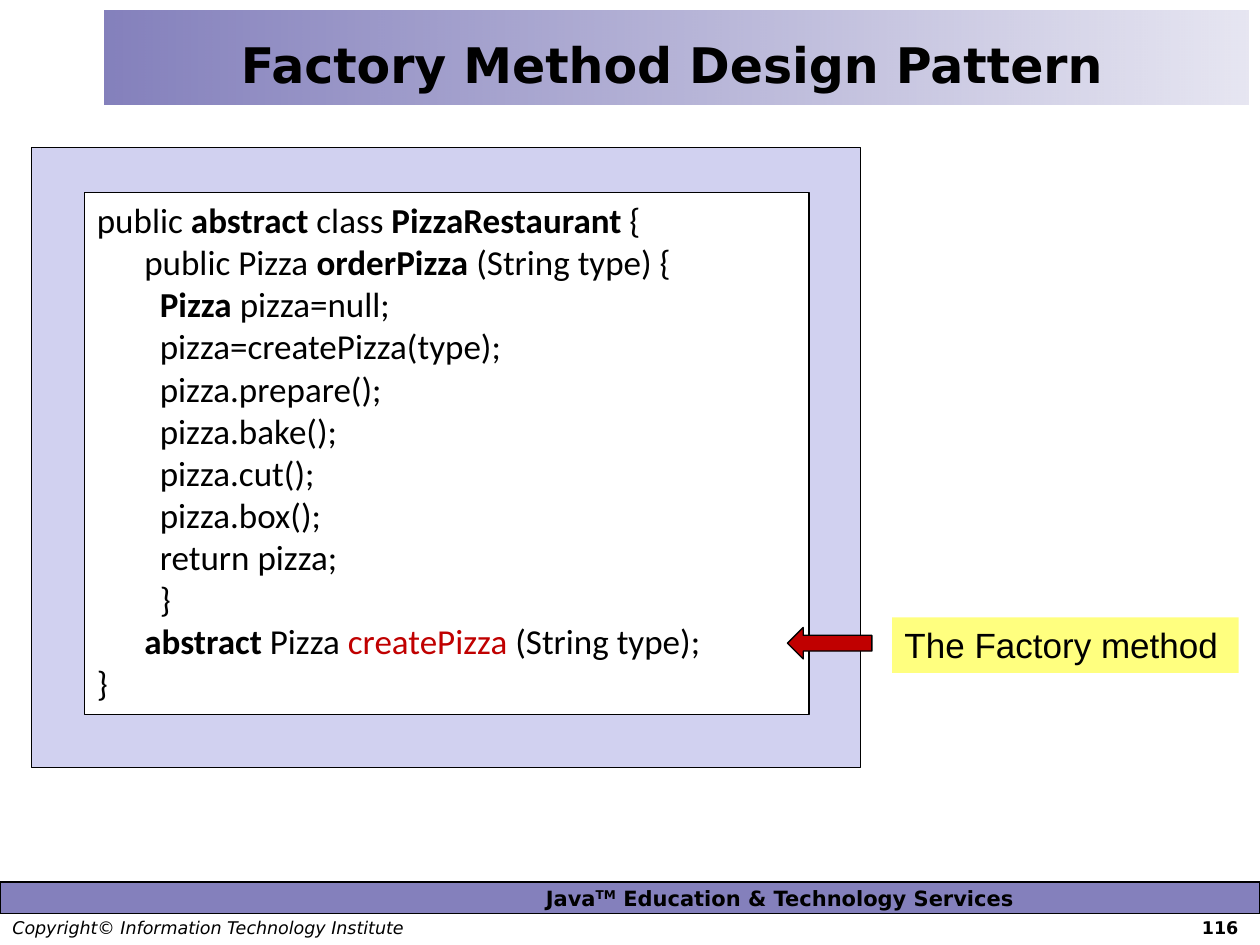
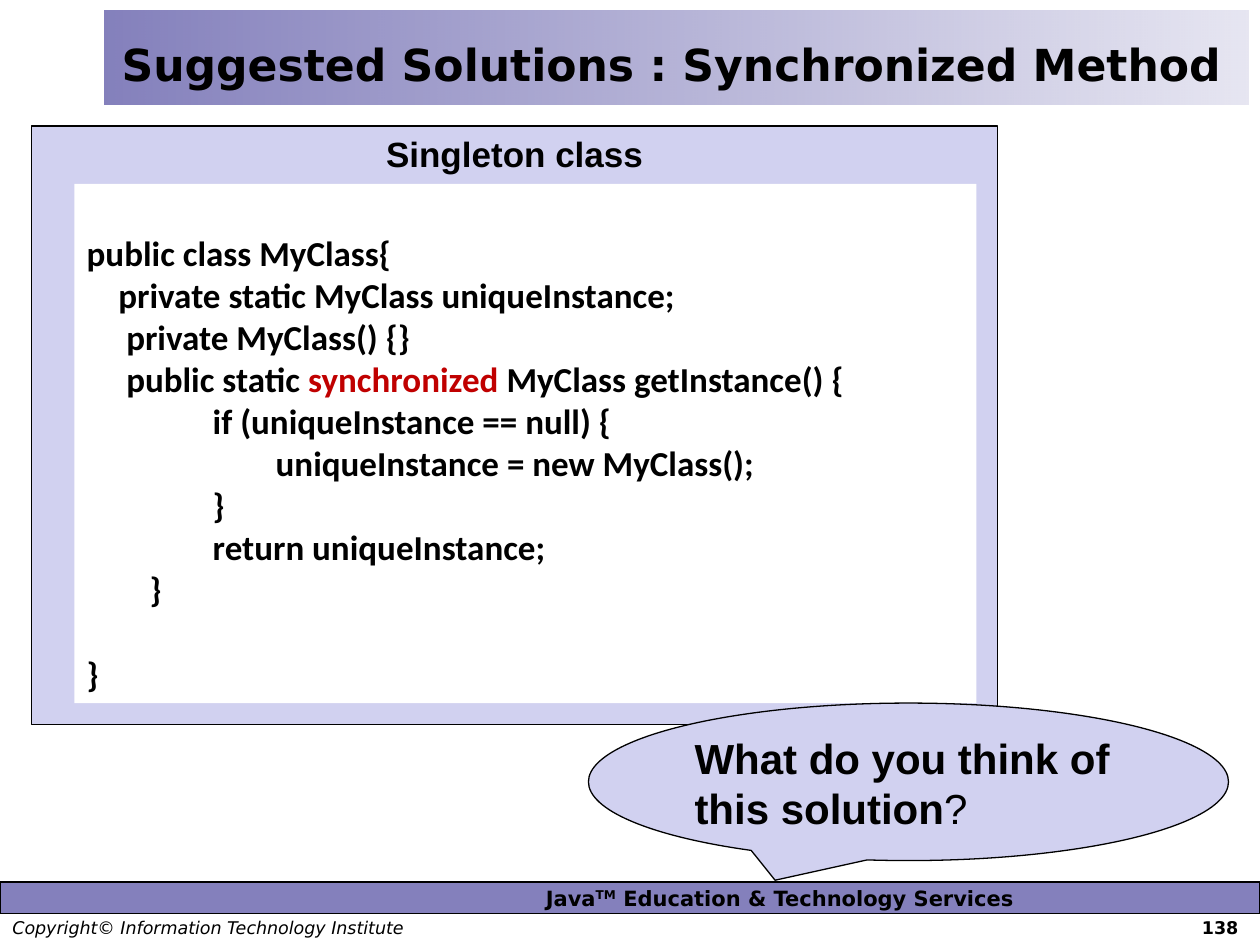
from typing import NamedTuple, Optional

from lxml.etree import SubElement
from pptx import Presentation
from pptx.dml.color import RGBColor as Rgb
from pptx.enum.shapes import MSO_SHAPE as Kind
from pptx.enum.text import MSO_ANCHOR as Anchor, MSO_AUTO_SIZE as Fit, PP_ALIGN as Align
from pptx.oxml.ns import qn
from pptx.util import Inches, Pt

HUES = {
    "ink": "000000",
    "paper": "FFFFFF",
    "brand": "5B56A6",
    "panel": "D1D1F0",
    "red": "C00000",
    "note": "FFFF00",
}
HEAD, BODY, CODE = "DejaVu Sans", "Arial", "Calibri"


class Box(NamedTuple):
    left: float
    top: float
    width: float
    height: float
    fill: str
    kind: Kind = Kind.RECTANGLE
    line: bool = True
    alpha: Optional[int] = None


class Style(NamedTuple):
    face: str
    size: float
    bold: bool = False
    align: Align = Align.LEFT


def hue(name: str) -> Rgb:
    return Rgb.from_string(HUES[name])


def fade(color, percent: int) -> None:
    """Set the opacity of a colour element."""
    SubElement(color, qn("a:alpha")).set("val", str(percent * 1000))


def draw(slide, box: Box):
    shape = slide.shapes.add_shape(box.kind, *map(Inches, box[:4]))
    shape.shadow.inherit = False
    shape.fill.solid()
    shape.fill.fore_color.rgb = hue(box.fill)
    if box.alpha:
        fade(shape.element.spPr.find(".//" + qn("a:srgbClr")), box.alpha)
    if box.line:
        shape.line.color.rgb = hue("ink")
        shape.line.width = Pt(0.75)
    else:
        shape.line.fill.background()
    return shape


def dress(para, style: Style) -> None:
    para.alignment = style.align
    font = para.font
    font.name, font.size, font.bold = style.face, Pt(style.size), style.bold
    font.color.rgb = hue("ink")


def write(shape, lines: list[str], style: Style, anchor: Anchor = Anchor.TOP):
    """Fill a shape with lines; *...* flips bold and ~...~ turns red."""
    frame = shape.text_frame
    frame.word_wrap, frame.vertical_anchor = True, anchor
    for row, line in enumerate(lines):
        para = frame.add_paragraph() if row else frame.paragraphs[0]
        dress(para, style)
        for i, part in enumerate(line.split("*")):
            for j, text in enumerate(part.split("~")):
                if not text:
                    continue
                run = para.add_run()
                run.text = text
                if i % 2:
                    run.font.bold = not style.bold
                if j % 2:
                    run.font.color.rgb = hue("red")
    return frame


def add_band(slide) -> None:
    """Draw the fading band behind the title."""
    band = draw(slide, Box(0.83, 0.08, 9.08, 0.75, "brand", line=False))
    band.fill.gradient()
    band.fill.gradient_angle = 0
    for stop, place, alpha in zip(band.fill.gradient_stops, (0, 1), (75, 15)):
        stop.position = place
        stop.color.rgb = hue("brand")
        fade(band.element.spPr.findall(".//" + qn("a:srgbClr"))[place], alpha)


def add_foot(slide, number: int) -> None:
    bar = draw(slide, Box(0, 7, 10, 0.25, "brand", alpha=75))
    frame = write(bar, ["Java"], Style(HEAD, 12, True, Align.CENTER), Anchor.MIDDLE)
    frame.margin_left, frame.margin_right = Inches(2.38), 0
    frame.margin_top = frame.margin_bottom = 0
    para = frame.paragraphs[0]
    mark = para.add_run()
    mark.text = "TM"
    mark.font._element.set("baseline", "30000")
    para.add_run().text = " Education & Technology Services"

    note = slide.shapes.add_textbox(0, Inches(7.23), Inches(10), Inches(0.27))
    note.text_frame.word_wrap = True
    para = note.text_frame.paragraphs[0]
    tabs = SubElement(para._p.get_or_add_pPr(), qn("a:tabLst"))
    tab = SubElement(tabs, qn("a:tab"))
    tab.set("pos", str(Inches(9.73)))
    tab.set("algn", "r")
    dress(para, Style(HEAD, 10))
    legal, page = para.add_run(), para.add_run()
    legal.text = "Copyright© Information Technology Institute\t"
    legal.font.italic = True
    page.text = str(number)
    page.font.bold = True


def add_slide(deck, title: str, size: float, number: int):
    slide = deck.slides.add_slide(deck.slide_layouts.get_by_name("Title Only"))
    add_foot(slide, number)
    add_band(slide)
    head = slide.shapes.title
    slide.shapes.element.append(head.element)
    head.left, head.top, head.width, head.height = map(Inches, (0.83, 0.17, 9, 0.67))
    frame = write(head, [title], Style(HEAD, size, True, Align.CENTER), Anchor.MIDDLE)
    frame.auto_size = Fit.NONE
    return slide


def add_factory(deck) -> None:
    slide = add_slide(deck, "Factory Method Design Pattern", 28, 116)
    draw(slide, Box(0.25, 1.17, 6.58, 4.92, "panel"))
    code = draw(slide, Box(0.67, 1.53, 5.75, 4.14, "paper"))
    write(code, [
        "public *abstract* class *PizzaRestaurant* {",
        "      public Pizza *orderPizza* (String type) {",
        "\t*Pizza *pizza=null;",
        "\tpizza=createPizza(type);",
        "\tpizza.prepare();",
        "\tpizza.bake();",
        "\tpizza.cut();",
        "\tpizza.box();",
        "\treturn pizza;",
        "\t}",
        "      *abstract *Pizza ~createPizza~ (String type);",
        "}",
    ], Style(CODE, 20))
    label = draw(slide, Box(7.08, 4.9, 2.75, 0.44, "note", line=False, alpha=50))
    write(label, ["The Factory method"], Style(BODY, 20))
    draw(slide, Box(6.25, 4.98, 0.67, 0.25, "red", Kind.LEFT_ARROW))


def add_sync(deck) -> None:
    slide = add_slide(deck, "Suggested Solutions : Synchronized Method", 25.2, 138)
    panel = draw(slide, Box(0.25, 1, 7.67, 4.75, "panel"))
    write(panel, ["Singleton class"], Style(BODY, 20, True, Align.CENTER))
    code = draw(slide, Box(0.59, 1.46, 7.16, 4.12, "paper", line=False))
    frame = write(code, [
        "public class MyClass{",
        "    private static MyClass uniqueInstance;",
        "     private MyClass() {}",
        "     public static ~synchronized ~MyClass getInstance() {",
        "\t\tif (uniqueInstance == null) {",
        "\t\t\tuniqueInstance = new MyClass();",
        "\t\t}",
        "\t\treturn uniqueInstance;",
        "\t}",
        "}",
    ], Style(CODE, 20, True))
    frame.margin_top = Inches(0.38)
    frame.paragraphs[-1].space_before = Pt(24.4)
    bubble = draw(slide, Box(4.67, 5.58, 5.08, 1.25, "panel", Kind.OVAL_CALLOUT))
    write(bubble, ["What do you think of this solution*?*"], Style(BODY, 24, True))


def main() -> None:
    deck = Presentation()
    deck.slide_width, deck.slide_height = Inches(10), Inches(7.5)
    add_factory(deck)
    add_sync(deck)
    deck.save("out.pptx")


if __name__ == "__main__":
    main()
